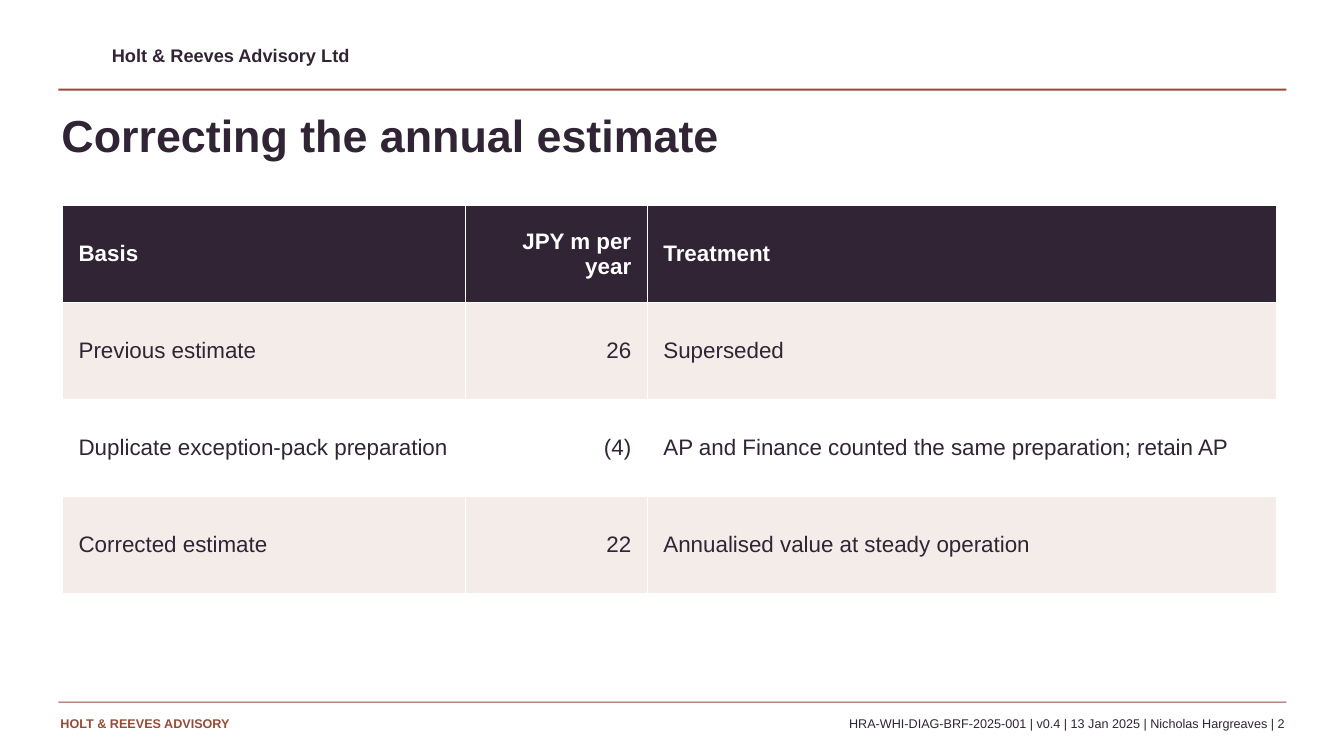
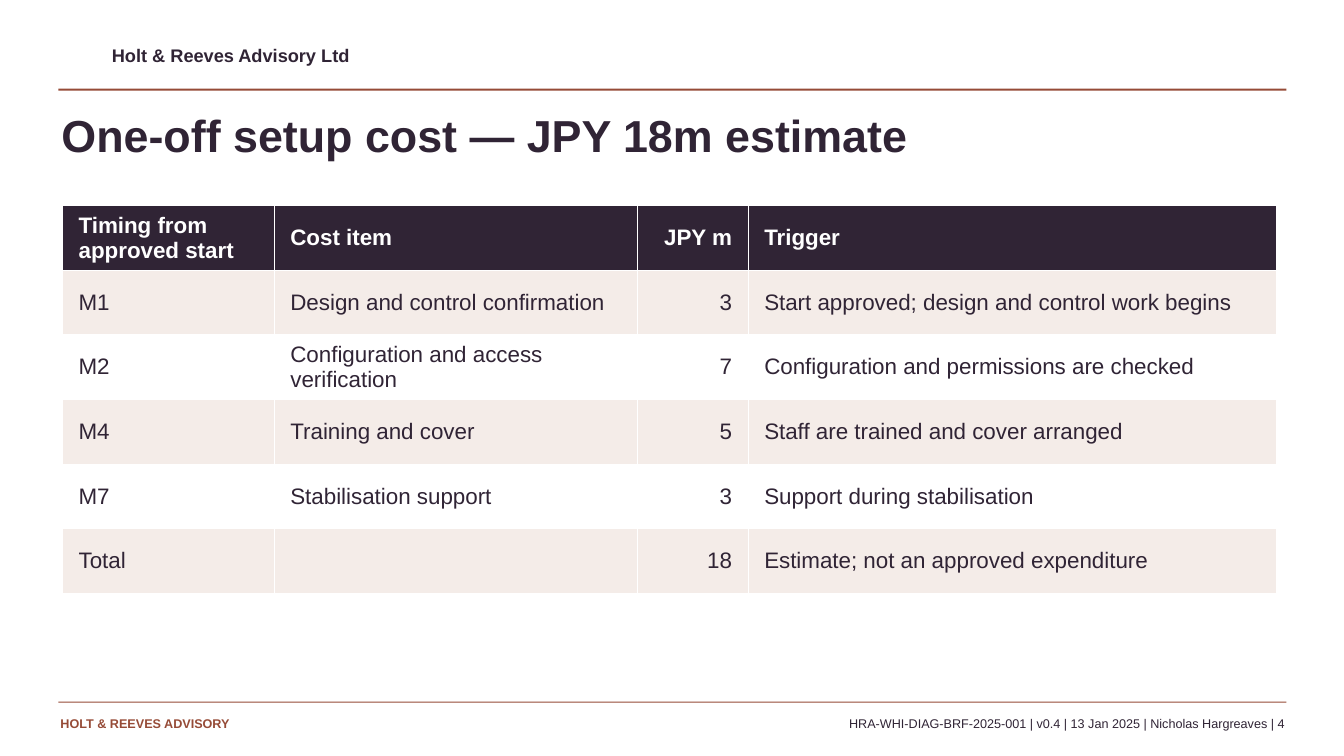
import pptx
import pptx.util
import pptx.dml.color
import pptx.enum.shapes
import pptx.enum.text

ALIGN = pptx.enum.text.PP_ALIGN
ANCHOR = pptx.enum.text.MSO_ANCHOR
INCH = pptx.util.Inches

FIRM = "Holt & Reeves Advisory Ltd"
TAG = "HOLT & REEVES ADVISORY"
META = "HRA-WHI-DIAG-BRF-2025-001 | v0.4 | 13 Jan 2025 | Nicholas Hargreaves | {}"

SLIDES = [
    {
        "page": 2,
        "title": "Correcting the annual estimate",
        "cols": (4, 1.8, 6.24),
        "sum_col": 1,
        "rows": [
            ("Basis", "JPY m per year", "Treatment"),
            ("Previous estimate", "26", "Superseded"),
            ("Duplicate exception-pack preparation", "(4)",
             "AP and Finance counted the same preparation; retain AP"),
            ("Corrected estimate", "22", "Annualised value at steady operation"),
        ],
    },
    {
        "page": 4,
        "title": "One-off setup cost — JPY 18m estimate",
        "cols": (2.1, 3.6, 1.1, 5.24),
        "sum_col": 2,
        "rows": [
            ("Timing from approved start", "Cost item", "JPY m", "Trigger"),
            ("M1", "Design and control confirmation", "3",
             "Start approved; design and control work begins"),
            ("M2", "Configuration and access verification", "7",
             "Configuration and permissions are checked"),
            ("M4", "Training and cover", "5", "Staff are trained and cover arranged"),
            ("M7", "Stabilisation support", "3", "Support during stabilisation"),
            ("Total", "", "18", "Estimate; not an approved expenditure"),
        ],
    },
]


class Theme:
    font = "Arial"
    plum, rust, blush, white = (
        pptx.dml.color.RGBColor.from_string(code)
        for code in ("302435", "964B37", "F4ECE8", "FFFFFF"))
    title = {"size": 32, "color": plum, "bold": True}
    firm = {"size": 13, "color": plum, "bold": True}
    tag = {"size": 9, "color": rust, "bold": True}
    meta = {"size": 9, "color": plum, "bold": False}
    head = {"size": 16, "color": white, "bold": True}
    body = {"size": 16, "color": plum, "bold": False}


WIDE, HIGH = 13.33, 7.5
RULE_X, RULE_W = 0.58, 12.18
TABLE = (0.62, 2.04, 12.04, 3.85)
FRAME = {"word_wrap": True, "margin_left": 0, "margin_right": 0,
         "margin_top": 0, "margin_bottom": 0}
CELL = {"vertical_anchor": ANCHOR.MIDDLE,
        "margin_left": INCH(0.16), "margin_right": INCH(0.16),
        "margin_top": INCH(0.05), "margin_bottom": INCH(0.05)}


def apply(item, values):
    for name, value in values.items():
        setattr(item, name, value)


def paint(item, color):
    item.fill.solid()
    item.fill.fore_color.rgb = color


def write(frame, text, style, align=ALIGN.LEFT):
    line = frame.paragraphs[0]
    line.alignment = align
    run = line.add_run()
    run.text = text
    apply(run.font, {"name": Theme.font, "bold": style["bold"],
                     "size": pptx.util.Pt(style["size"])})
    run.font.color.rgb = style["color"]


def add_text(slide, box, text, style, align=ALIGN.LEFT):
    frame = slide.shapes.add_textbox(*map(INCH, box)).text_frame
    apply(frame, FRAME)
    write(frame, text, style, align)


def add_rule(slide, top, thick):
    rule = slide.shapes.add_shape(pptx.enum.shapes.MSO_SHAPE.RECTANGLE,
                                  *map(INCH, (RULE_X, top, RULE_W, thick)))
    rule.shadow.inherit = False
    rule.line.fill.background()
    paint(rule, Theme.rust)


def add_brand(slide, page):
    """Draw the header and footer that every slide carries."""
    add_text(slide, (1.11, 0.44, 6, 0.27), FIRM, Theme.firm)
    for top, thick in ((0.88, 0.02), (6.96, 0.01)):
        add_rule(slide, top, thick)
    add_text(slide, (0.6, 7.1, 3.4, 0.25), TAG, Theme.tag)
    add_text(slide, (4.12, 7.1, 8.62, 0.22), META.format(page), Theme.meta, ALIGN.RIGHT)


def add_grid(slide, rows, cols, sum_col):
    """Add the table; sum_col is the column of right-aligned amounts."""
    table = slide.shapes.add_table(len(rows), len(cols), *map(INCH, TABLE)).table
    for col, width in zip(table.columns, cols):
        col.width = INCH(width)
    for r, row in enumerate(rows):
        style = Theme.body if r else Theme.head
        fill = (Theme.blush if r % 2 else Theme.white) if r else Theme.plum
        for c, text in enumerate(row):
            cell = table.cell(r, c)
            apply(cell, CELL)
            paint(cell, fill)
            if text:
                write(cell.text_frame, text, style,
                      ALIGN.RIGHT if c == sum_col else ALIGN.LEFT)


def main():
    deck = pptx.Presentation()
    apply(deck, {"slide_width": INCH(WIDE), "slide_height": INCH(HIGH)})
    for data in SLIDES:
        slide = deck.slides.add_slide(deck.slide_layouts[6])
        paint(slide.background, Theme.white)
        add_brand(slide, data["page"])
        add_text(slide, (0.61, 1.07, 12, 0.78), data["title"], Theme.title)
        add_grid(slide, data["rows"], data["cols"], data["sum_col"])
    deck.save("out.pptx")


if __name__ == "__main__":
    main()
